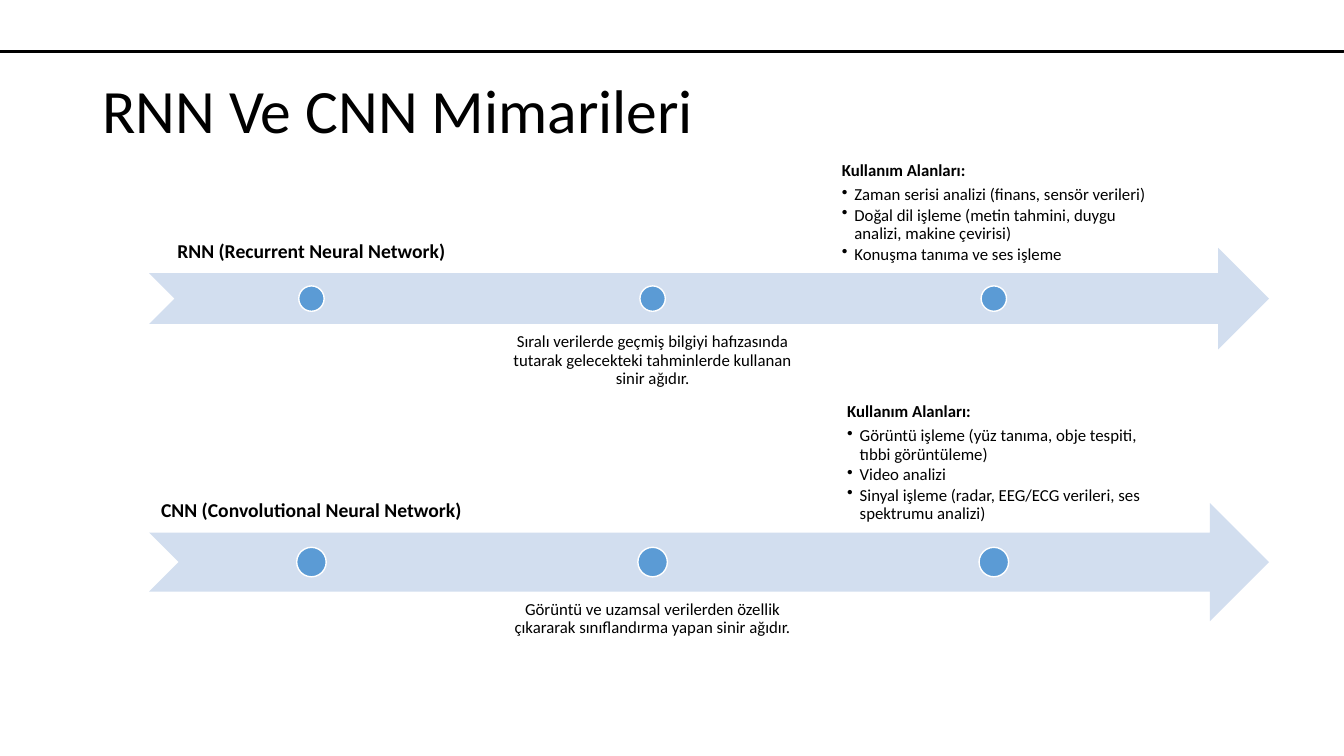
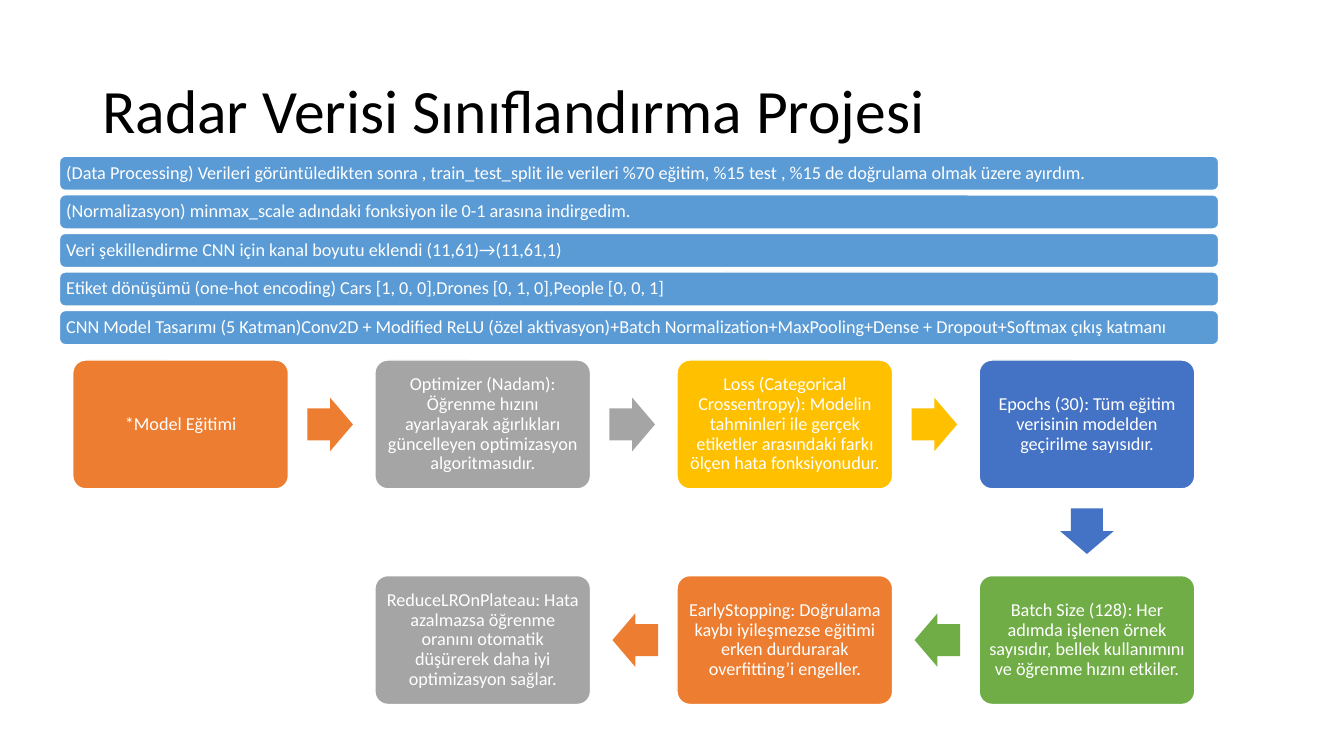
"""Build two slides on neural network types and a radar data project."""
from lxml import etree
from pptx import Presentation
from pptx.dml.color import RGBColor
from pptx.enum.shapes import MSO_SHAPE
from pptx.enum.text import MSO_ANCHOR, PP_ALIGN
from pptx.oxml.ns import qn
from pptx.util import Pt

LEFT, CENTER = PP_ALIGN.LEFT, PP_ALIGN.CENTER
TOP, MIDDLE, BOTTOM = MSO_ANCHOR.TOP, MSO_ANCHOR.MIDDLE, MSO_ANCHOR.BOTTOM
RECT, ROUND, OVAL = MSO_SHAPE.RECTANGLE, MSO_SHAPE.ROUNDED_RECTANGLE, MSO_SHAPE.OVAL
NOTCHED, ARROW = MSO_SHAPE.NOTCHED_RIGHT_ARROW, MSO_SHAPE.RIGHT_ARROW

FONT = "Calibri"
COLORS = {
    "black": "000000", "white": "FFFFFF", "pale": "D2DEEF", "sky": "5B9BD5",
    "orange": "ED7D31", "gray": "A5A5A5", "gold": "FFC000",
    "blue": "4472C4", "green": "70AD47",
}
WIDTH, HEIGHT = 960, 540

LANE_X, LANE_W = 106.5, 800
STOP_W, STOP_GAP = 232, 243.7
LANES = [
    (177, 72.6, "RNN (Recurrent Neural Network)",
     "Sıralı verilerde geçmiş bilgiyi hafızasında tutarak gelecekteki tahminlerde kullanan sinir ağıdır.",
     ["Zaman serisi analizi (finans, sensör verileri)",
      "Doğal dil işleme (metin tahmini, duygu analizi, makine çevirisi)",
      "Konuşma tanıma ve ses işleme"]),
    (359.3, 84.4, "CNN (Convolutional Neural Network)",
     "Görüntü ve uzamsal verilerden özellik çıkararak sınıflandırma yapan sinir ağıdır.",
     ["Görüntü işleme (yüz tanıma, obje tespiti, tıbbi görüntüleme)",
      "Video analizi",
      "Sinyal işleme (radar, EEG/ECG verileri, ses spektrumu analizi)"]),
]
BARS = [
    "(Data Processing) Verileri görüntüledikten sonra , train_test_split ile verileri %70 eğitim, %15 test , %15 de doğrulama olmak üzere ayırdım.",
    "(Normalizasyon) minmax_scale adındaki fonksiyon ile 0-1 arasına indirgedim.",
    "Veri şekillendirme CNN için kanal boyutu eklendi (11,61)→(11,61,1)",
    "Etiket dönüşümü (one-hot encoding) Cars [1, 0, 0],Drones [0, 1, 0],People [0, 0, 1]",
    "CNN Model Tasarımı (5 Katman)Conv2D + Modified ReLU (özel aktivasyon)+Batch Normalization+MaxPooling+Dense + Dropout+Softmax çıkış katmanı",
]
NODE_W, NODE_H = 154, 92
STEPS = [
    (0, 0, "orange", "*Model Eğitimi"),
    (1, 0, "gray", "Optimizer (Nadam): Öğrenme hızını ayarlayarak ağırlıkları güncelleyen optimizasyon algoritmasıdır."),
    (2, 0, "gold", "Loss (Categorical Crossentropy): Modelin tahminleri ile gerçek etiketler arasındaki farkı ölçen hata fonksiyonudur."),
    (3, 0, "blue", "Epochs (30): Tüm eğitim verisinin modelden geçirilme sayısıdır."),
    (3, 1, "green", "Batch Size (128): Her adımda işlenen örnek sayısıdır, bellek kullanımını ve öğrenme hızını etkiler."),
    (2, 1, "orange", "EarlyStopping: Doğrulama kaybı iyileşmezse eğitimi erken durdurarak overfitting’i engeller."),
    (1, 1, "gray", "ReduceLROnPlateau: Hata azalmazsa öğrenme oranını otomatik düşürerek daha iyi optimizasyon sağlar."),
]


def paint(name):
    return RGBColor.from_string(COLORS[name])


def write(par, text, size, color="black", bold=False, align=LEFT, after=0):
    par.text = text
    par.alignment = align
    par.line_spacing = 0.9
    par.space_after = Pt(after)
    font = par.font
    font.name, font.size, font.bold = FONT, Pt(size), bold
    font.color.rgb = paint(color)


def setup(frame, anchor, inset, side=None):
    frame.word_wrap = True
    frame.vertical_anchor = anchor
    frame.margin_top = frame.margin_bottom = Pt(inset)
    frame.margin_left = frame.margin_right = Pt(side or inset)


def add_text(slide, x, y, w, h, anchor, inset, side=None):
    frame = slide.shapes.add_textbox(Pt(x), Pt(y), Pt(w), Pt(h)).text_frame
    setup(frame, anchor, inset, side)
    return frame


def add_form(slide, kind, x, y, w, h, fill, line=None, thick=1):
    form = slide.shapes.add_shape(kind, Pt(x), Pt(y), Pt(w), Pt(h))
    form.shadow.inherit = False
    form.fill.solid()
    form.fill.fore_color.rgb = paint(fill)
    if line:
        form.line.color.rgb = paint(line)
        form.line.width = Pt(thick)
    else:
        form.line.fill.background()
    return form


def add_title(slide, text):
    frame = add_text(slide, 66, 28.8, 828, 104.4, MIDDLE, 3.6, 7.2)
    write(frame.paragraphs[0], text, 44)


def add_card(slide, x, y, w, h, fill, text, align):
    card = add_form(slide, ROUND, x, y, w, h, fill, "white")
    setup(card.text_frame, MIDDLE, 3.6)
    write(card.text_frame.paragraphs[0], text, 13, "white", align=align)
    return card


def add_bullet(par):
    props = par._p.get_or_add_pPr()
    props.set("marL", str(Pt(9)))
    props.set("indent", str(-Pt(9)))
    mark = etree.Element(qn("a:buChar"), char="•")
    props.find(qn("a:defRPr")).addprevious(mark)


def add_uses(slide, x, y, h, items):
    frame = add_text(slide, x, y, STOP_W, h, BOTTOM, 6.7)
    frame._txBody.bodyPr.set("anchorCtr", "1")
    write(frame.paragraphs[0], "Kullanım Alanları:", 12, bold=True, after=4.2)
    for item in items:
        par = frame.add_paragraph()
        write(par, item, 12, after=1.8)
        add_bullet(par)


def add_lane(slide, y, h, name, about, items):
    add_form(slide, NOTCHED, LANE_X, y, LANE_W, h, "pale")
    stops = [LANE_X + i * STOP_GAP for i in range(3)]
    dot = h / 4
    for x in stops:
        add_form(slide, OVAL, x + (STOP_W - dot) / 2, y + (h - dot) / 2, dot, dot, "sky", "white")
    above, below = y - 0.75 * h, y + 0.75 * h
    label = add_text(slide, stops[0], above, STOP_W, h, BOTTOM, 7.8)
    write(label.paragraphs[0], name, 14, bold=True, align=CENTER)
    note = add_text(slide, stops[1], below, STOP_W, h, TOP, 6.7)
    write(note.paragraphs[0], about, 12, align=CENTER)
    add_uses(slide, stops[2], above, h, items)


def add_link(slide, start, end, fill):
    w, h = 32.6, 38.2
    x, y = (a + (b - a) * 0.495 for a, b in zip(start, end))
    link = add_form(slide, ARROW, x - w / 2, y - h / 2, w, h, fill)
    link.adjustments[0], link.adjustments[1] = 0.6, 0.5
    if end[1] > start[1]:
        link.rotation = 90
    elif end[0] < start[0]:
        link.rotation = 180


def add_flow(slide):
    spots = [(52 + col * 215.8, 257.2 + row * 154) for col, row, _, _ in STEPS]
    mids = [(x + NODE_W / 2, y + NODE_H / 2) for x, y in spots]
    for (x, y), (_, _, fill, text) in zip(spots, STEPS):
        card = add_card(slide, x, y, NODE_W, NODE_H, fill, text, CENTER)
        card.adjustments[0] = 0.1
    for start, end, step in zip(mids, mids[1:], STEPS):
        add_link(slide, start, end, step[2])


def main():
    deck = Presentation()
    deck.slide_width, deck.slide_height = Pt(WIDTH), Pt(HEIGHT)
    blank = deck.slide_layouts[6]

    nets = deck.slides.add_slide(blank)
    add_title(nets, "RNN Ve CNN Mimarileri")
    add_form(nets, RECT, 0, 36, WIDTH, 1.5, "black", "black", 0.75)
    for lane in LANES:
        add_lane(nets, *lane)

    radar = deck.slides.add_slide(blank)
    add_title(radar, "Radar Verisi Sınıflandırma Projesi")
    for i, text in enumerate(BARS):
        add_card(radar, 42.5, 111.6 + i * 27.55, 828, 24.4, "sky", text, LEFT)
    add_flow(radar)

    deck.save("out.pptx")


if __name__ == "__main__":
    main()
